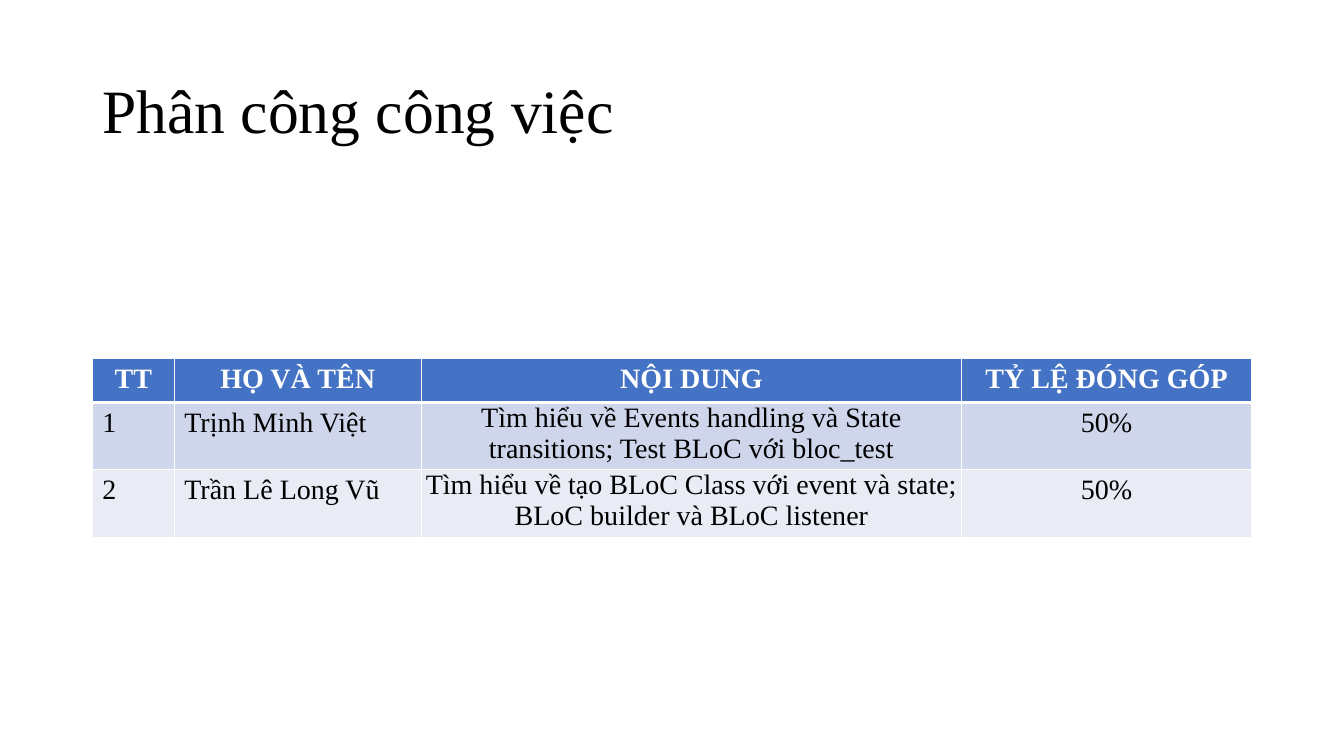
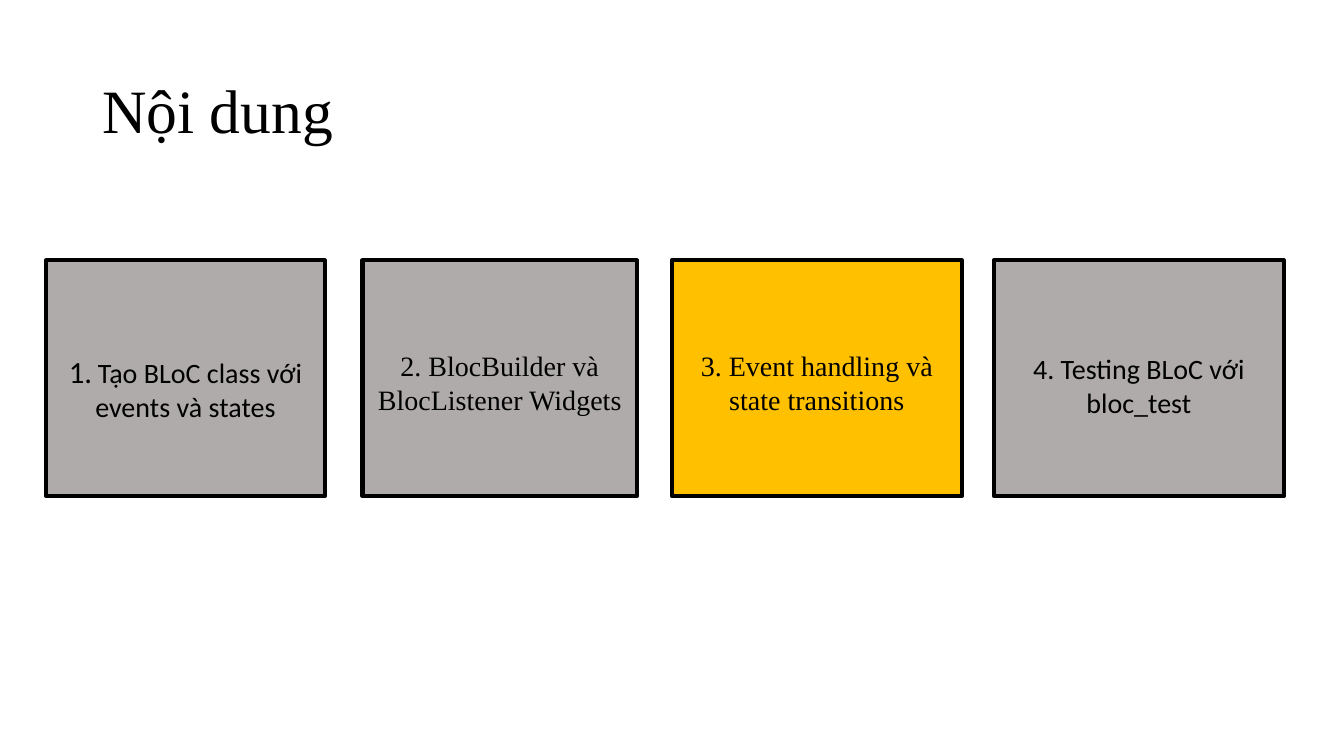
"""Build the task and outline slides."""
from dataclasses import dataclass

from lxml import etree
from pptx import Presentation
from pptx.dml.color import RGBColor
from pptx.enum import shapes, text
from pptx.oxml.ns import qn
from pptx.util import Pt


@dataclass(frozen=True)
class Theme:
    """Hold the colours, fonts and sizes that the slides share."""
    ink: str = "000000"
    white: str = "FFFFFF"
    head: str = "4472C4"
    bands: tuple = ("CFD5EA", "E9EBF5")
    card: str = "AFABAB"
    accent: str = "FFC000"
    serif: str = "Times New Roman"
    sans: str = "Calibri"
    title: int = 44
    body: int = 20
    lead: int = 22
    small: int = 18
    edge: int = 3
    rule: int = 1


T = Theme()
LEFT, CENTER = text.PP_ALIGN.LEFT, text.PP_ALIGN.CENTER


def rgb(code):
    """Turn a hex code into a colour."""
    return RGBColor.from_string(code)


def write(frame, runs, size=T.body, font=T.serif, color=T.ink, bold=False,
          align=LEFT, space=None):
    """Write a string, or (string, size) runs, as one paragraph."""
    para = frame.paragraphs[0]
    para.alignment = align
    if space:
        para.line_spacing = space
    for words, pts in [(runs, size)] if isinstance(runs, str) else runs:
        run = para.add_run()
        run.text = words
        run.font.size = Pt(pts)
        run.font.name = font
        run.font.bold = bold
        run.font.color.rgb = rgb(color)


def add_title(slide, words, box):
    """Place the slide title in its box."""
    frame = slide.shapes.add_textbox(*map(Pt, box)).text_frame
    frame.word_wrap = True
    frame.vertical_anchor = text.MSO_ANCHOR.MIDDLE
    write(frame, words, size=T.title, space=0.9)


def add_edges(cell, **widths):
    """Draw white borders of the given widths, in the order L, R, T, B."""
    props = cell._tc.get_or_add_tcPr()
    for side, width in widths.items():
        line = etree.SubElement(props, qn(f"a:ln{side}"), w=str(Pt(width)))
        fill = etree.SubElement(line, qn("a:solidFill"))
        etree.SubElement(fill, qn("a:srgbClr"), val=T.white)


def add_tasks(slide, rows, box, widths, heights):
    """Place the task table in its box."""
    grid = slide.shapes.add_table(len(rows), len(widths), *map(Pt, box)).table
    for col, width in zip(grid.columns, widths):
        col.width = Pt(width)
    for r, (row, height) in enumerate(zip(rows, heights)):
        grid.rows[r].height = Pt(height)
        head = r == 0
        for c, words in enumerate(row):
            cell = grid.cell(r, c)
            add_edges(cell, L=T.rule, R=T.rule,
                      T=T.edge if r == 1 else T.rule,
                      B=T.edge if head else T.rule)
            cell.fill.solid()
            cell.fill.fore_color.rgb = rgb(T.head if head else T.bands[(r - 1) % 2])
            if c == 2 and not head:
                cell.margin_left = cell.margin_right = 0
                cell.margin_top = cell.margin_bottom = 0
            write(cell.text_frame, words, bold=head,
                  color=T.white if head else T.ink,
                  align=CENTER if head or c > 1 else LEFT)


def add_card(slide, runs, box, drop, font=T.serif, fill=T.card):
    """Place one outlined card, its text a drop below the top edge."""
    card = slide.shapes.add_shape(shapes.MSO_SHAPE.RECTANGLE, *map(Pt, box))
    card.shadow.inherit = False
    card.fill.solid()
    card.fill.fore_color.rgb = rgb(fill)
    card.line.color.rgb = rgb(T.ink)
    card.line.width = Pt(T.edge)
    frame = card.text_frame
    frame.word_wrap = True
    frame.vertical_anchor = text.MSO_ANCHOR.TOP
    frame.margin_top = Pt(drop)
    write(frame, runs, font=font, align=CENTER)


def add_cards(slide, cards, top, height):
    """Place the cards side by side at one top and height."""
    for left, width, drop, runs, look in cards:
        add_card(slide, runs, (left, top, width, height), drop, **look)


def main():
    """Build and save both slides."""
    deck = Presentation()
    deck.slide_width, deck.slide_height = Pt(960), Pt(540)
    tasks, topics = [deck.slides.add_slide(deck.slide_layouts[6])
                     for _ in range(2)]
    for slide, words in ((tasks, "Phân công công việc"), (topics, "Nội dung")):
        add_title(slide, words, (66, 28.75, 828, 104.4))

    add_tasks(tasks, [
        ("TT", "HỌ VÀ TÊN", "NỘI DUNG", "TỶ LỆ ĐÓNG GÓP"),
        ("1", "Trịnh Minh Việt",
         "Tìm hiểu về Events handling và State transitions; "
         "Test BLoC với bloc_test", "50%"),
        ("2", "Trần Lê Long Vũ",
         "Tìm hiểu về tạo BLoC Class với event và state; "
         "BLoC builder và BLoC listener", "50%"),
    ], (66, 256.3, 828, 118.5), (58.5, 176.5, 386, 207), (29.5, 44.5, 44.5))

    sans = {"font": T.sans}
    add_cards(topics, [
        (33, 199, 66, [("1.", T.lead), (" ", T.small),
                       ("Tạo BLoC class với events và states", T.body)], sans),
        (259, 196, 63, "2. BlocBuilder và BlocListener Widgets", {}),
        (480, 207, 63, "3. Event handling và state transitions",
         {"fill": T.accent}),
        (710, 207, 65, "4. Testing BLoC với bloc_test", sans),
    ], 186, 168.5)
    deck.save("out.pptx")


if __name__ == "__main__":
    main()
